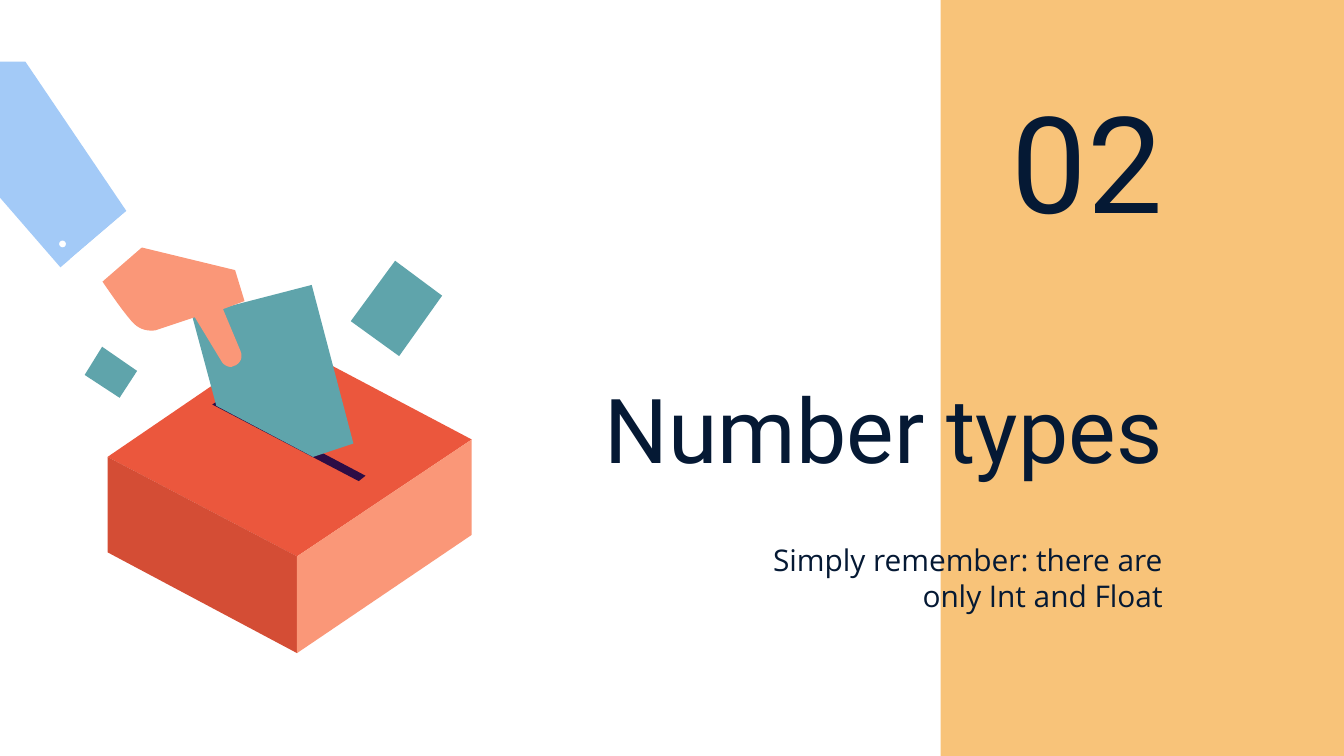
from dataclasses import dataclass

from pptx import Presentation
from pptx.dml.color import RGBColor
from pptx.enum.shapes import MSO_SHAPE
from pptx.enum.text import MSO_ANCHOR, PP_ALIGN
from pptx.util import Inches, Pt


@dataclass(frozen=True)
class Theme:
    band: str = "F8C379"
    ink: str = "051934"
    box_top: str = "EB573D"
    box_side: str = "D44D35"
    slot: str = "2D0D45"
    skin: str = "FA9778"
    ballot: str = "5FA4AB"
    sleeve: str = "A3CAF7"
    white: str = "FFFFFF"
    heading_font: str = "Roboto"
    body_font: str = "Open Sans"
    number_size: int = 72
    title_size: int = 48
    body_size: int = 16


def curve(start, control_1, control_2, end, steps=8):
    points = []
    for step in range(1, steps + 1):
        t = step / steps
        weights = ((1 - t) ** 3, 3 * t * (1 - t) ** 2, 3 * t ** 2 * (1 - t), t ** 3)
        corners = (start, control_1, control_2, end)
        points.append(tuple(
            sum(weight * corner[axis] for weight, corner in zip(weights, corners))
            for axis in (0, 1)
        ))
    return points


class SlideBuilder:
    def __init__(self, page, theme):
        self.page = page
        self.theme = theme

    def paint(self, shape, color):
        shape.shadow.inherit = False
        shape.fill.solid()
        shape.fill.fore_color.rgb = RGBColor.from_string(color)
        shape.line.fill.background()

    def preset(self, kind, left, top, width, height, color):
        shape = self.page.shapes.add_shape(
            kind, Inches(left), Inches(top), Inches(width), Inches(height))
        self.paint(shape, color)

    def polygon(self, color, points):
        corners = [(Inches(x), Inches(y)) for x, y in points]
        builder = self.page.shapes.build_freeform(*corners[0])
        builder.add_line_segments(corners[1:], close=True)
        self.paint(builder.convert_to_shape(), color)

    def text(self, words, left, top, width, height, font, size,
             anchor=MSO_ANCHOR.TOP, line_spacing=1.0):
        box = self.page.shapes.add_textbox(
            Inches(left), Inches(top), Inches(width), Inches(height))
        frame = box.text_frame
        frame.word_wrap = True
        frame.vertical_anchor = anchor
        frame.margin_left = frame.margin_right = Inches(0.1)
        frame.margin_top = frame.margin_bottom = Inches(0.1)
        frame.text = words
        para = frame.paragraphs[0]
        para.alignment = PP_ALIGN.RIGHT
        para.line_spacing = line_spacing
        span = para.runs[0]
        span.font.name = font
        span.font.size = Pt(size)
        span.font.color.rgb = RGBColor.from_string(self.theme.ink)


def draw_ballot_box(slide):
    theme = slide.theme
    back, right, front, left = (2.09, 2.52), (3.51, 3.27), (2.21, 4.14), (0.8, 3.4)
    front_base = (2.21, 4.86)
    slide.polygon(theme.box_top, [back, right, front, left])
    slide.polygon(theme.slot, [(1.64, 2.97), (2.72, 3.54), (2.67, 3.58), (1.58, 3.01)])
    slide.polygon(theme.box_side, [left, front, front_base, (0.8, 4.11)])
    slide.polygon(theme.skin, [right, (3.51, 3.98), front_base, front])


def draw_ballots(slide):
    for points in (
        [(2.32, 2.12), (2.63, 3.3), (2.33, 3.4), (1.61, 3.02), (1.43, 2.35)],
        [(2.94, 1.94), (3.29, 2.2), (2.97, 2.65), (2.61, 2.39)],
        [(0.76, 2.58), (1.02, 2.76), (0.89, 2.96), (0.63, 2.79)],
    ):
        slide.polygon(slide.theme.ballot, points)


def draw_arm(slide):
    theme = slide.theme
    slide.polygon(theme.skin, [
        (1.05, 1.84), (1.75, 2.01), (1.82, 2.24), (1.66, 2.3), (1.79, 2.61),
        *curve((1.79, 2.61), (1.81, 2.66), (1.79, 2.7), (1.75, 2.72)),
        *curve((1.75, 2.72), (1.74, 2.72), (1.73, 2.73), (1.72, 2.73)),
        *curve((1.72, 2.73), (1.69, 2.73), (1.66, 2.71), (1.65, 2.69)),
        (1.45, 2.36), (1.18, 2.45),
        *curve((1.18, 2.45), (1.18, 2.45), (1.16, 2.46), (1.13, 2.46)),
        *curve((1.13, 2.46), (1.09, 2.46), (1.03, 2.45), (0.98, 2.39)),
        *curve((0.98, 2.39), (0.9, 2.3), (0.76, 2.09), (0.76, 2.09)),
    ])
    slide.polygon(theme.sleeve, [
        (0.19, 0.46), (0.94, 1.57), (0.45, 1.99), (-0.4, 1.01), (-0.4, 0.46)])
    slide.polygon(theme.white, [(0.92, 1.59), (1.09, 1.81), (0.71, 2.14), (0.52, 1.93)])
    slide.preset(MSO_SHAPE.OVAL, 0.44, 1.79, 0.05, 0.05, theme.white)


def main():
    theme = Theme()
    deck = Presentation()
    deck.slide_width = Inches(10)
    deck.slide_height = deck.slide_width * 9 // 16
    page = deck.slides.add_slide(deck.slide_layouts[6])
    page.background.fill.solid()
    page.background.fill.fore_color.rgb = RGBColor.from_string(theme.white)
    slide = SlideBuilder(page, theme)

    slide.preset(MSO_SHAPE.RECTANGLE, 7, -0.01, 3.03, 5.65, theme.band)
    slide.text("Number types", 4.12, 2.8, 4.63, 0.92, theme.heading_font,
               theme.title_size, MSO_ANCHOR.MIDDLE, 0.8)
    slide.text("02", 6, 1.03, 2.75, 0.86, theme.heading_font,
               theme.number_size, MSO_ANCHOR.BOTTOM)
    slide.text("Simply remember: there are only Int and Float", 5.27, 3.93, 3.48, 0.59,
               theme.body_font, theme.body_size)
    draw_ballot_box(slide)
    draw_ballots(slide)
    draw_arm(slide)
    deck.save("out.pptx")


if __name__ == "__main__":
    main()
